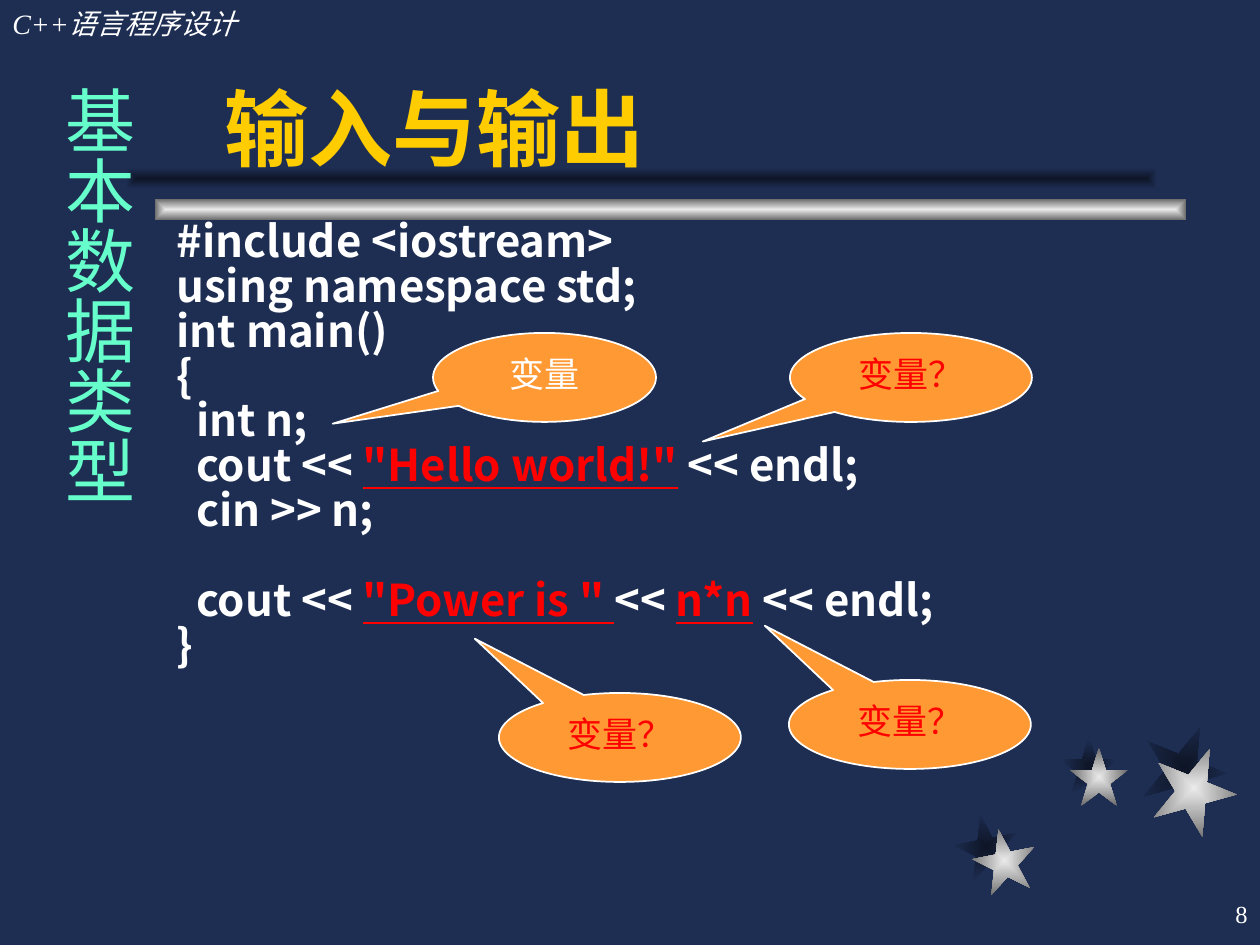
from lxml import etree
from pptx import Presentation
from pptx.dml.color import RGBColor
from pptx.enum.shapes import MSO_SHAPE
from pptx.enum.text import MSO_ANCHOR, PP_ALIGN
from pptx.oxml.ns import qn
from pptx.util import Emu, Pt

RECTANGLE = MSO_SHAPE.RECTANGLE
STAR = MSO_SHAPE.STAR_5_POINT
CALLOUT = MSO_SHAPE.OVAL_CALLOUT
TOP, MIDDLE = MSO_ANCHOR.TOP, MSO_ANCHOR.MIDDLE
LEFT, CENTER, RIGHT = PP_ALIGN.LEFT, PP_ALIGN.CENTER, PP_ALIGN.RIGHT

PX = 914400 // 126
SANS, SERIF = "Noto Sans CJK SC", "Times New Roman"
COLORS = {
    "background": "1E2E53", "shadow": "0E1526", "silver": "EAEAEA", "gray": "6C6C6C",
    "white": "FFFFFF", "gold": "FFCC00", "mint": "66FFCC", "orange": "FF9933", "red": "FF0000",
}

# Content: boxes are left, top, width, height in px
HEADER = "C++语言程序设计"
TITLE = "输入与输出"
CHAPTER = "基本数据类型"
PAGE_NUMBER = "8"

# Each code line: space before in pt, then (text, highlighted) runs
CODE = [
    (0, [("#include <iostream>", False)]),
    (3.1, [("using namespace std;", False)]),
    (3.1, [("int main()", False)]),
    (3.1, [("{", False)]),
    (3.1, [("  int n;", False)]),
    (3.1, [("  cout << ", False), ('"Hello world!"', True), (" << endl;", False)]),
    (3.1, [("  cin >> n;", False)]),
    (28.8, [("  cout << ", False), ('"Power is " ', True), ("<< ", False),
            ("n*n", True), (" << endl;", False)]),
    (3.1, [("}", False)]),
]

# Callouts: text, colour, box, pointer tip relative to the centre
CALLOUTS = [
    ("变量", "white", (433, 333, 223, 89), (-0.95, 0.52)),
    ("变量？", "red", (789, 680, 242, 89), (-0.6, -1.11)),
    ("变量？", "red", (499, 693, 242, 89), (-0.6, -1.11)),
    ("变量？", "red", (790, 333, 242, 89), (-0.86, 0.72)),
]

# Stars: shadow position, silver position, size, rotation
STARS = [
    ((955, 815), (973, 829), 63, 349),
    ((1060, 737), (1070, 748), 58, 0),
    ((1142, 725), (1152, 746), 84, 22),
]
BAR_SIZE = (1031, 21)
SILVER_BAR, SHADOW_BAR = (155, 199), (126, 168)
SILVER, SHADOW = ("silver", "gray"), ("shadow", "background")


def color(name):
    return RGBColor.from_string(COLORS[name])


def emu(box):
    return [Emu(value * PX) for value in box]


def style(paragraph, size, color_name, font_name, bold=None, italic=None):
    font = paragraph.font
    font.size, font.name = Pt(size), font_name
    font.bold, font.italic = bold, italic
    font.color.rgb = color(color_name)
    properties = paragraph._p.pPr.find(qn("a:defRPr"))
    etree.SubElement(properties, qn("a:ea"), typeface=SANS)


def add_text(slide, box, text, size, color_name, font_name,
             align=LEFT, anchor=TOP, bold=None, italic=None):
    frame = slide.shapes.add_textbox(*emu(box)).text_frame
    frame.word_wrap = True
    frame.vertical_anchor = anchor
    paragraph = frame.paragraphs[0]
    paragraph.text = text
    paragraph.alignment = align
    style(paragraph, size, color_name, font_name, bold, italic)
    return frame


def add_gradient_shape(slide, kind, box, names, rotation=0):
    shape = slide.shapes.add_shape(kind, *emu(box))
    shape.rotation = rotation
    shape.shadow.inherit = False
    shape.line.fill.background()
    shape.fill.gradient()
    for stop, name in zip(shape.fill.gradient_stops, names):
        stop.color.rgb = color(name)
    for stop, position in zip(shape.fill.gradient_stops, (0, 1)):
        stop.position = position
    # Gradient spreads from the centre to the edges
    gradient = shape._element.spPr.find(qn("a:gradFill"))
    linear = gradient.find(qn("a:lin"))
    spread = etree.Element(qn("a:path"), path="rect")
    etree.SubElement(spread, qn("a:fillToRect"), l="50000", t="50000", r="50000", b="50000")
    gradient.replace(linear, spread)


def add_callout(slide, text, color_name, box, tip):
    shape = slide.shapes.add_shape(CALLOUT, *emu(box))
    shape.adjustments[0], shape.adjustments[1] = tip
    shape.shadow.inherit = False
    shape.fill.solid()
    shape.fill.fore_color.rgb = color("orange")
    shape.line.color.rgb = color("white")
    shape.line.width = Pt(1)
    frame = shape.text_frame
    frame.word_wrap = True
    frame.vertical_anchor = TOP
    paragraph = frame.paragraphs[0]
    paragraph.text = text
    paragraph.alignment = CENTER
    style(paragraph, 20, color_name, SERIF)


def add_code(slide, box):
    frame = slide.shapes.add_textbox(*emu(box)).text_frame
    frame.word_wrap = True
    for index, (space_before, runs) in enumerate(CODE):
        paragraph = frame.add_paragraph() if index else frame.paragraphs[0]
        paragraph.line_spacing = 0.75
        paragraph.space_before = Pt(space_before)
        style(paragraph, 25, "white", SANS, bold=True)
        for text, highlighted in runs:
            run = paragraph.add_run()
            run.text = text
            if highlighted:
                run.font.color.rgb = color("red")
                run.font.underline = True


def main():
    presentation = Presentation()
    presentation.slide_width, presentation.slide_height = emu((1260, 945))
    slide = presentation.slides.add_slide(presentation.slide_layouts[6])
    slide.background.fill.solid()
    slide.background.fill.fore_color.rgb = color("background")

    # Stars, all shadows behind all silver ones
    for layer, names in enumerate((SHADOW, SILVER)):
        for *positions, size, rotation in STARS:
            add_gradient_shape(slide, STAR, (*positions[layer], size, size), names, rotation)

    # Title rule
    add_gradient_shape(slide, RECTANGLE, SILVER_BAR + BAR_SIZE, SILVER)
    add_gradient_shape(slide, RECTANGLE, SHADOW_BAR + BAR_SIZE, SHADOW)

    # Header, page number and title
    add_text(slide, (0, 0, 388, 47), HEADER, 16, "white", SERIF, italic=True)
    add_text(slide, (998, 882, 262, 63), PAGE_NUMBER, 14, "white", SERIF, RIGHT, MIDDLE)
    title = add_text(slide, (94, 63, 1071, 158), TITLE, 48, "gold", SANS,
                     anchor=MIDDLE, bold=True)
    title.margin_left = Emu(131 * PX)
    title.paragraphs[0].line_spacing = 0.6

    # Code and vertical chapter name
    add_code(slide, (164, 220, 1002, 714))
    chapter = add_text(slide, (38, 73, 108, 788), CHAPTER, 40, "mint", SANS, CENTER)
    chapter.margin_left = chapter.margin_right = Emu(6 * PX)
    chapter.margin_top = chapter.margin_bottom = Emu(13 * PX)
    chapter._txBody.bodyPr.set("vert", "eaVert")

    for callout in CALLOUTS:
        add_callout(slide, *callout)

    presentation.save("out.pptx")


if __name__ == "__main__":
    main()
